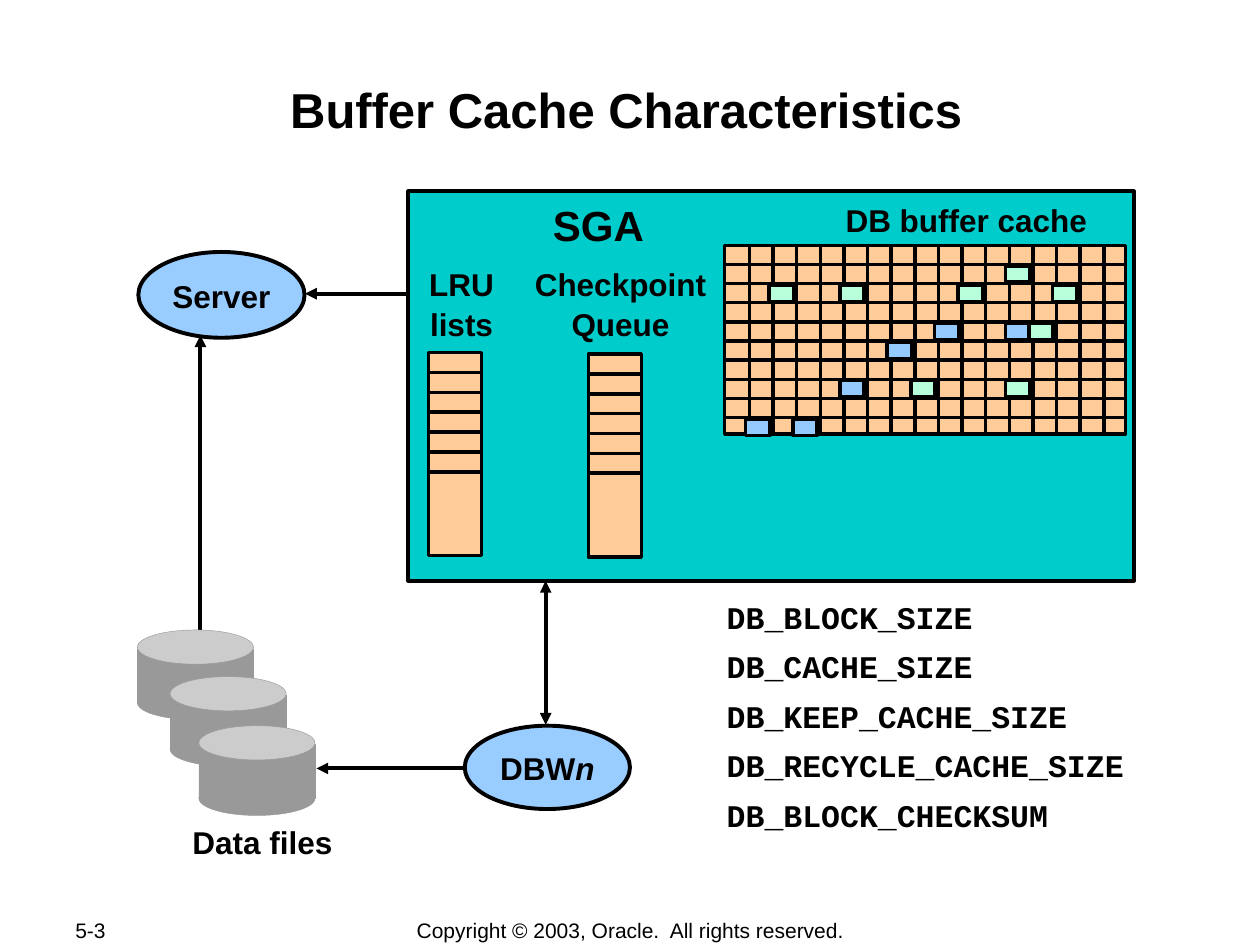
from pptx import Presentation
from pptx.dml.color import RGBColor
from pptx.enum.shapes import MSO_CONNECTOR, MSO_SHAPE
from pptx.enum.text import MSO_ANCHOR, MSO_AUTO_SIZE, PP_ALIGN
from pptx.oxml.ns import qn
from pptx.util import Cm, Pt
from lxml import etree

RECT, OVAL = MSO_SHAPE.RECTANGLE, MSO_SHAPE.OVAL
STRAIGHT = MSO_CONNECTOR.STRAIGHT
LEFT, CENTER = PP_ALIGN.LEFT, PP_ALIGN.CENTER
TOP, MIDDLE = MSO_ANCHOR.TOP, MSO_ANCHOR.MIDDLE
NO_FIT = MSO_AUTO_SIZE.NONE

COLORS = {
    "ink": "000000", "sga": "00CCCC", "buffer": "FFCC99", "process": "99CCFF",
    "disk": "999999", "disk_top": "CCCCCC", "blue": "95CAFF", "green": "B8FFDB",
}

TITLE = "Buffer Cache Characteristics"
PARAMETERS = ["DB_BLOCK_SIZE", "DB_CACHE_SIZE", "DB_KEEP_CACHE_SIZE",
              "DB_RECYCLE_CACHE_SIZE", "DB_BLOCK_CHECKSUM"]
LABELS = [
    ("SGA", (10.59, 3.84, 2.95, 1.27), {"size": 24}),
    ("DB buffer cache", (15.39, 3.89, 8.18, 1.02), {}),
    ("Checkpoint Queue", (10.21, 5.18, 4.6, 1.78), {}),
    ("LRU lists", (7.82, 5.18, 2.97, 1.78), {}),
    ("Data files", (3.63, 16.66, 3.33, 0.76), {"align": LEFT, "spacing": 0.7}),
]
FOOTERS = [
    ("5-3", (1.27, 18.49, 2.69, 0.51), LEFT),
    ("Copyright © 2003, Oracle.  All rights reserved.", (7.01, 18.49, 11.4, 0.53), CENTER),
]
PROCESSES = [
    (("Server",), (2.79, 5.08, 3.35, 1.73)),
    (("DBW", "n"), (9.37, 14.63, 3.33, 1.68)),
]
ARROWS = [
    ((4.04, 6.76), (4.04, 13.79), False),
    ((6.15, 5.92), (8.23, 5.92), False),
    ((6.38, 15.49), (9.6, 15.49), False),
    ((11, 11.71), (11, 14.61), True),
]
SGA = (8.23, 3.86, 14.63, 7.85)
DATA_FILES = [(2.77, 12.7), (3.43, 13.64), (4.01, 14.63)]
QUEUES = [(8.64, 7.11), (11.86, 7.14)]
QUEUE_WIDTH, QUEUE_HEIGHT, QUEUE_STEP, QUEUE_LINES = 1.07, 4.09, 0.4, 6

CACHE_LEFT, CACHE_TOP, CACHE_WIDTH, CACHE_HEIGHT = 14.61, 4.95, 8.08, 3.8
FIRST_COLUMN, COLUMN_STEP, COLUMN_LINES = 15.11, 0.476, 16
FIRST_ROW, ROW_STEP, ROW_LINES = 5.33, 0.386, 9
BUFFERS = {
    "blue": [(0, 8), (2, 8), (4, 6), (6, 4), (8, 3), (11, 3)],
    "green": [(12, 3), (13, 1), (11, 0), (9, 1), (1, 1), (4, 1), (7, 6), (11, 6)],
}


def color(name):
    return RGBColor.from_string(COLORS[name])


def write(frame, paragraphs, size=18, bold=True, font="Arial", align=CENTER,
          anchor=TOP, spacing=1.05, before=0, wrap=True, inset=(0.25, 0.13)):
    frame.auto_size = NO_FIT
    frame.word_wrap = wrap
    frame.vertical_anchor = anchor
    frame.margin_left = frame.margin_right = Cm(inset[0])
    frame.margin_top = frame.margin_bottom = Cm(inset[1])
    for index, parts in enumerate(paragraphs):
        paragraph = frame.paragraphs[0] if index == 0 else frame.add_paragraph()
        properties = paragraph._p.get_or_add_pPr()
        properties.set("marL", "0")
        properties.set("indent", "0")
        etree.SubElement(properties, qn("a:buNone"))
        paragraph.alignment = align
        paragraph.line_spacing = spacing
        paragraph.space_before = Pt(before if index else 0)
        for position, text in enumerate(parts):
            run = paragraph.add_run()
            run.text = text
            run.font.size = Pt(size)
            run.font.name = font
            run.font.bold = bold
            run.font.italic = position > 0
            run.font.color.rgb = color("ink")


def place(placeholder, left, top, width, height):
    placeholder.left, placeholder.top = Cm(left), Cm(top)
    placeholder.width, placeholder.height = Cm(width), Cm(height)


def add_block(slide, kind, box, fill, line="ink", weight=2.0):
    block = slide.shapes.add_shape(kind, *map(Cm, box))
    block.shadow.inherit = False
    block.fill.solid()
    block.fill.fore_color.rgb = color(fill)
    block.line.color.rgb = color(line)
    block.line.width = Pt(weight)
    return block


def add_rule(slide, start, end, weight=2.0, heads=()):
    rule = slide.shapes.add_connector(STRAIGHT, *map(Cm, start + end))
    rule.line.color.rgb = color("ink")
    rule.line.width = Pt(weight)
    for head in heads:
        etree.SubElement(rule.line._get_or_add_ln(), qn(head),
                         type="triangle", w="med", len="med")
    etree.SubElement(rule._element.spPr, qn("a:effectLst"))


def add_data_file(slide, left, top):
    for kind, drop, height, fill in [(RECT, 0.38, 1.09, "disk"),
                                     (OVAL, 0, 0.69, "disk_top"),
                                     (OVAL, 1.12, 0.69, "disk")]:
        add_block(slide, kind, (left, top + drop, 2.34, height), fill, "disk", 0.25)


def add_queue(slide, left, top):
    add_block(slide, RECT, (left, top, QUEUE_WIDTH, QUEUE_HEIGHT), "buffer")
    for index in range(1, QUEUE_LINES + 1):
        y = top + index * QUEUE_STEP
        add_rule(slide, (left, y), (left + QUEUE_WIDTH, y))


def add_cache(slide):
    add_block(slide, RECT, (CACHE_LEFT, CACHE_TOP, CACHE_WIDTH, CACHE_HEIGHT), "buffer")
    for row in range(ROW_LINES):
        y = FIRST_ROW + row * ROW_STEP
        add_rule(slide, (CACHE_LEFT, y), (CACHE_LEFT + CACHE_WIDTH, y))
    for column in range(COLUMN_LINES):
        x = FIRST_COLUMN + column * COLUMN_STEP
        add_rule(slide, (x, CACHE_TOP), (x, CACHE_TOP + CACHE_HEIGHT))
    for fill, cells in BUFFERS.items():
        for column, row in cells:
            x = FIRST_COLUMN + column * COLUMN_STEP - 0.08
            y = FIRST_ROW + row * ROW_STEP + 0.03
            add_block(slide, RECT, (x, y, 0.49, 0.33), fill)


def main():
    deck = Presentation()
    deck.slide_width, deck.slide_height = Cm(25.4), Cm(19.05)
    slide = deck.slides.add_slide(deck.slide_layouts[1])
    title, parameters = slide.placeholders

    place(title, 2.46, 1.52, 20.32, 2.44)
    write(title.text_frame, [(TITLE,)], size=28, inset=(0.03, 0.03))
    place(parameters, 14.4, 11.88, 9.04, 4.85)
    write(parameters.text_frame, [(name,) for name in PARAMETERS],
          font="Courier New", align=LEFT, before=5.6)

    for text, box, align in FOOTERS:
        footer = slide.shapes.add_textbox(*map(Cm, box))
        write(footer.text_frame, [(text,)], size=12, bold=False, align=align,
              anchor=MIDDLE, spacing=1.0, wrap=False)

    for start, end, both in ARROWS:
        heads = ("a:headEnd", "a:tailEnd") if both else ("a:headEnd",)
        add_rule(slide, start, end, 2.25, heads)
    for corner in DATA_FILES:
        add_data_file(slide, *corner)

    add_block(slide, RECT, SGA, "sga", weight=2.25)
    for corner in QUEUES:
        add_queue(slide, *corner)
    add_cache(slide)

    for parts, box in PROCESSES:
        process = add_block(slide, OVAL, box, "process", weight=2.25)
        write(process.text_frame, [parts], anchor=MIDDLE, wrap=False)
    for text, box, style in LABELS:
        label = slide.shapes.add_textbox(*map(Cm, box))
        write(label.text_frame, [(text,)], **style)

    deck.save("out.pptx")


if __name__ == "__main__":
    main()
